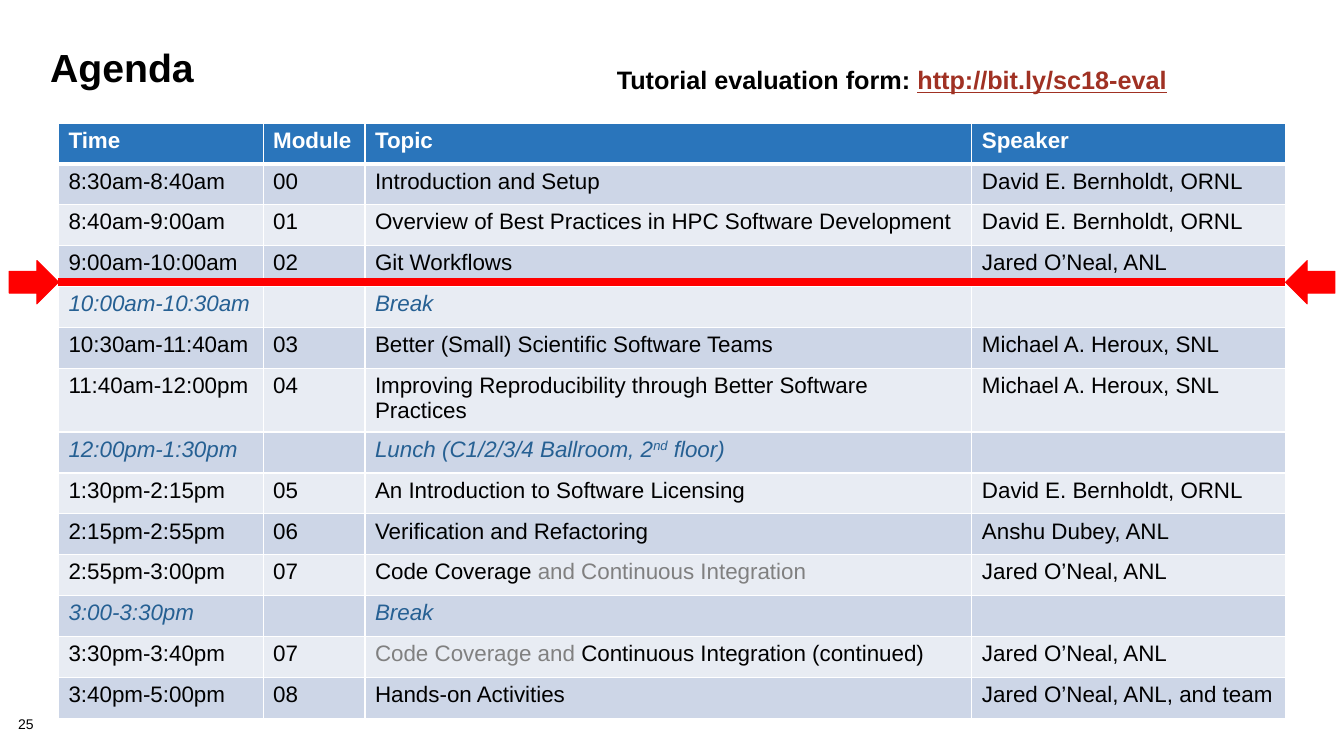
from lxml import etree
from pptx import Presentation
from pptx.dml.color import RGBColor
from pptx.enum.shapes import MSO_CONNECTOR, MSO_SHAPE
from pptx.enum.text import PP_ALIGN
from pptx.oxml.ns import qn
from pptx.util import Inches, Pt

STRAIGHT = MSO_CONNECTOR.STRAIGHT
RIGHT_ARROW = MSO_SHAPE.RIGHT_ARROW
LEFT, CENTER = PP_ALIGN.LEFT, PP_ALIGN.CENTER

COLORS = {
    "text": "000000",
    "white": "FFFFFF",
    "header": "2A75BB",
    "dark_band": "CDD6E7",
    "light_band": "E8ECF3",
    "pause": "266093",
    "muted": "808080",
    "link": "A03123",
    "marker": "FF0000",
}

HEADINGS = ("Time", "Module", "Topic", "Speaker")
BERNHOLDT = "David E. Bernholdt, ORNL"
ONEAL = "Jared O’Neal, ANL"
HEROUX = "Michael A. Heroux, SNL"
MUTED = {"color": "muted"}
SESSIONS = [
    ("8:30am-8:40am", "00", "Introduction and Setup", BERNHOLDT),
    ("8:40am-9:00am", "01", "Overview of Best Practices in HPC Software Development", BERNHOLDT),
    ("9:00am-10:00am", "02", "Git Workflows", ONEAL),
    ("10:00am-10:30am", "", "Break", ""),
    ("10:30am-11:40am", "03", "Better (Small) Scientific Software Teams", HEROUX),
    ("11:40am-12:00pm", "04", "Improving Reproducibility through Better Software Practices", HEROUX),
    ("12:00pm-1:30pm", "",
     [("Lunch (C1/2/3/4 Ballroom, 2", {}), ("nd", {"baseline": 30}), (" floor)", {})], ""),
    ("1:30pm-2:15pm", "05", "An Introduction to Software Licensing", BERNHOLDT),
    ("2:15pm-2:55pm", "06", "Verification and Refactoring", "Anshu Dubey, ANL"),
    ("2:55pm-3:00pm", "07",
     [("Code Coverage ", {}), ("and Continuous Integration", MUTED)], ONEAL),
    ("3:00-3:30pm", "", "Break", ""),
    ("3:30pm-3:40pm", "07",
     [("Code Coverage and ", MUTED), ("Continuous Integration (continued)", {})], ONEAL),
    ("3:40pm-5:00pm", "08", "Hands-on Activities", "Jared O’Neal, ANL, and team"),
]

TABLE_LEFT, TABLE_TOP, TABLE_HEIGHT = 0.58, 1.22, 5.68
COLUMN_WIDTHS = (2.03, 1.01, 6.02, 3.11)
TABLE_RIGHT = TABLE_LEFT + sum(COLUMN_WIDTHS)
MARKER_Y, ARROW_WIDTH, ARROW_HEIGHT = 2.8, 0.49, 0.43


def rgb(color):
    return RGBColor.from_string(COLORS[color])


def add_run(paragraph, text, size=16, color="text", bold=False, italic=False,
            underline=False, baseline=0):
    run = paragraph.add_run()
    run.text = text
    font = run.font
    font.name, font.size = "Arial", Pt(size)
    font.bold, font.italic, font.underline = bold, italic, underline
    font.color.rgb = rgb(color)
    if baseline:
        run._r.get_or_add_rPr().set("baseline", str(baseline * 1000))


class AgendaSlide:
    def __init__(self, deck):
        self.slide = deck.slides.add_slide(deck.slide_layouts[6])
        self.shapes = self.slide.shapes

    def text(self, left, top, width, height, parts, spacing, align=LEFT,
             wrap=True, inset=(0.1, 0.05), **style):
        box = self.shapes.add_textbox(*map(Inches, (left, top, width, height)))
        frame = box.text_frame
        frame.word_wrap = wrap
        frame.margin_left = frame.margin_right = Inches(inset[0])
        frame.margin_top = frame.margin_bottom = Inches(inset[1])
        paragraph = frame.paragraphs[0]
        paragraph.alignment, paragraph.line_spacing = align, spacing
        for content, changes in parts:
            add_run(paragraph, content, **{**style, **changes})

    def cell(self, cell, content, fill, top=1, bottom=1, **style):
        properties = cell._tc.get_or_add_tcPr()
        for side, weight in (("L", 1), ("R", 1), ("T", top), ("B", bottom)):
            border = etree.SubElement(properties, qn(f"a:ln{side}"), w=str(Pt(weight)))
            solid = etree.SubElement(border, qn("a:solidFill"))
            etree.SubElement(solid, qn("a:srgbClr"), val=COLORS["white"])
        cell.fill.solid()
        cell.fill.fore_color.rgb = rgb(fill)
        parts = [(content, {})] if isinstance(content, str) else content
        for text, changes in parts:
            if text:
                add_run(cell.text_frame.paragraphs[0], text, **{**style, **changes})

    def agenda(self):
        row_count = len(SESSIONS) + 1
        table = self.shapes.add_table(
            row_count, len(HEADINGS), Inches(TABLE_LEFT), Inches(TABLE_TOP),
            Inches(sum(COLUMN_WIDTHS)), Inches(TABLE_HEIGHT)).table
        for column, width in zip(table.columns, COLUMN_WIDTHS):
            column.width = Inches(width)
        for row in table.rows:
            row.height = Inches(TABLE_HEIGHT / row_count)
        for index, heading in enumerate(HEADINGS):
            self.cell(table.cell(0, index), heading, "header", bottom=3,
                      color="white", bold=True)
        for number, session in enumerate(SESSIONS, 1):
            band = "dark_band" if number % 2 else "light_band"
            style = {} if session[1] else {"color": "pause", "italic": True}
            for index, content in enumerate(session):
                self.cell(table.cell(number, index), content, band,
                          top=3 if number == 1 else 1, **style)

    def line(self, left, right, y, color, weight):
        line = self.shapes.add_connector(
            STRAIGHT, Inches(left), Inches(y), Inches(right), Inches(y))
        line.line.color.rgb = rgb(color)
        line.line.width = Pt(weight)
        etree.SubElement(line._element.spPr, qn("a:effectLst"))

    def arrow(self, left, middle, color, rotation=0):
        arrow = self.shapes.add_shape(
            RIGHT_ARROW, Inches(left), Inches(middle - ARROW_HEIGHT / 2),
            Inches(ARROW_WIDTH), Inches(ARROW_HEIGHT))
        arrow.shadow.inherit = False
        arrow.rotation = rotation
        arrow.fill.solid()
        arrow.fill.fore_color.rgb = rgb(color)
        arrow.line.color.rgb = rgb(color)
        arrow.line.width = Pt(0.75)


def main():
    deck = Presentation()
    deck.slide_width, deck.slide_height = Inches(13.33), Inches(7.5)
    page = AgendaSlide(deck)
    page.text(0.18, 7.12, 0.56, 0.16, [("25", {})], 0.9, inset=(0, 0), size=10)
    page.text(0.4, 0.45, 12.44, 1, [("Agenda", {})], 0.85, size=28, bold=True)
    page.agenda()
    page.text(5.99, 0.44, 5.71, 0.5,
              [("Tutorial evaluation form: ", {}),
               ("http://bit.ly/sc18-eval", {"color": "link", "underline": True})],
              1.5, align=CENTER, wrap=False, size=18, bold=True)
    page.line(TABLE_LEFT, TABLE_RIGHT, MARKER_Y, "marker", 6)
    page.arrow(TABLE_LEFT - ARROW_WIDTH, MARKER_Y, "marker")
    page.arrow(TABLE_RIGHT, MARKER_Y, "marker", rotation=180)
    deck.save("out.pptx")


if __name__ == "__main__":
    main()
